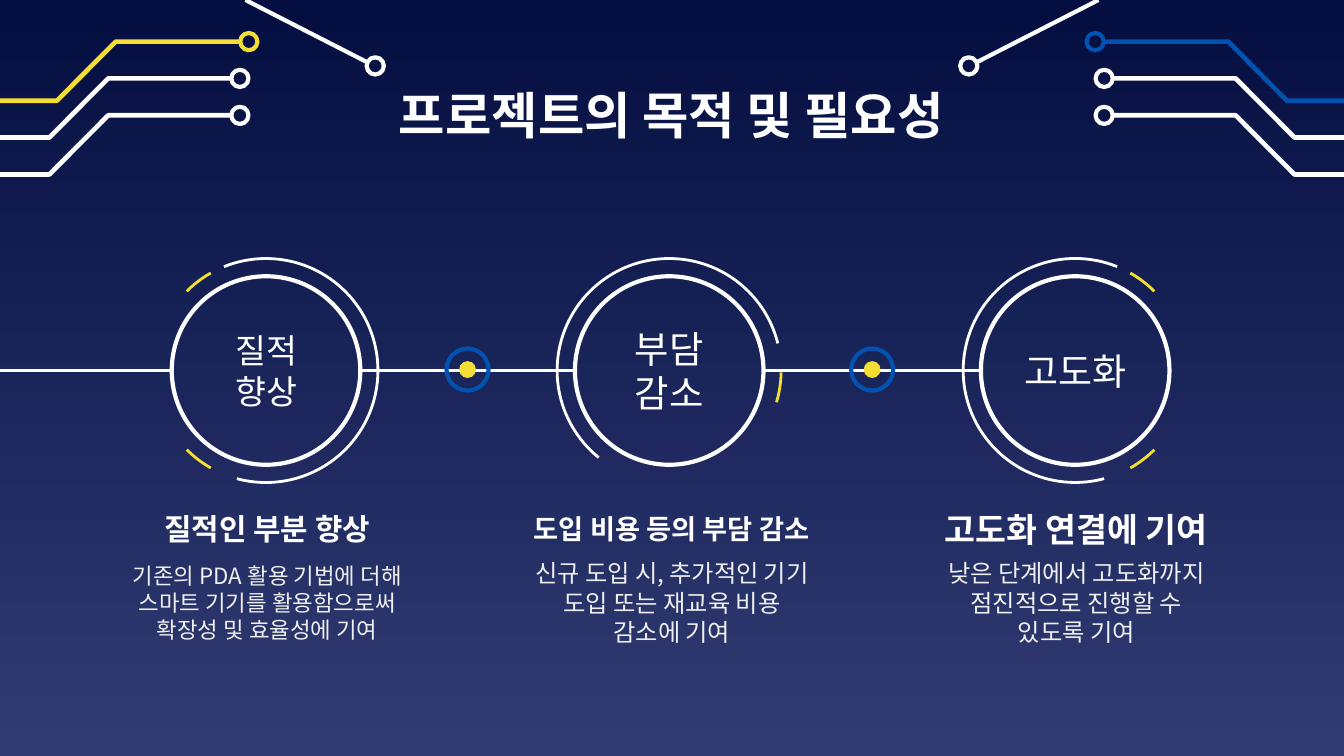
from lxml.etree import SubElement
from pptx import Presentation
from pptx.dml.color import RGBColor
from pptx.enum.shapes import MSO_CONNECTOR, MSO_SHAPE
from pptx.enum.text import MSO_ANCHOR, MSO_AUTO_SIZE, PP_ALIGN
from pptx.oxml.ns import qn
from pptx.util import Pt

NAVY = RGBColor(0x04, 0x0E, 0x41)
INDIGO = RGBColor(0x30, 0x3B, 0x72)
WHITE = RGBColor(0xFF, 0xFF, 0xFF)
PALE = RGBColor(0xEF, 0xEF, 0xEF)
YELLOW = RGBColor(0xF5, 0xDE, 0x34)
BLUE = RGBColor(0x01, 0x52, 0xB1)
FONT = "Noto Sans CJK KR"
WIDTH, HEIGHT = 720, 405
AXIS_Y = 198.5
CIRCLE, HALO, NODE, DOT = 101, 120, 22.5, 9

# Circle centre, label, label size, white arc, yellow arcs (degrees, clockwise)
STAGES = [
    (142.5, "질적 향상", 18, (248, 105), [(225, 240.5), (119.5, 135)]),
    (358.5, "부담 감소", 20, (129, 346), [(1, 16.5)]),
    (576, "고도화", 19.8, (75, 292), [(299.5, 315), (45, 60.5)]),
]
# Heading, heading size, description, description size
CAPTIONS = [
    ("질적인 부분 향상", 16,
     "기존의 PDA 활용 기법에 더해 스마트 기기를 활용함으로써 확장성 및 효율성에 기여", 12),
    ("도입 비용 등의 부담 감소", 14.6,
     "신규 도입 시, 추가적인 기기 도입 또는 재교육 비용 감소에 기여", 13),
    ("고도화 연결에 기여", 18,
     "낮은 단계에서 고도화까지 점진적으로 진행할 수 있도록 기여", 13),
]


def apply(target, values):
    for name, value in values.items():
        setattr(target, name, value)


def place(shape, left, top, width, height):
    apply(shape, {"left": Pt(left), "top": Pt(top),
                  "width": Pt(width), "height": Pt(height)})


def write(shape, text, size, color=WHITE, bold=False, pitch=1.2):
    frame = shape.text_frame
    apply(frame, {"word_wrap": True, "auto_size": MSO_AUTO_SIZE.NONE,
                  "vertical_anchor": MSO_ANCHOR.MIDDLE})
    apply(frame, {f"margin_{side}": Pt(7.2)
                  for side in ("left", "top", "right", "bottom")})
    para = frame.paragraphs[0]
    apply(para, {"alignment": PP_ALIGN.CENTER, "space_before": Pt(0),
                 "line_spacing": Pt(round(size * pitch, 1)) if pitch else 1.0})
    span = para.add_run()
    span.text = text
    apply(span.font, {"name": FONT, "size": Pt(size), "bold": bold})
    span.font.color.rgb = color
    SubElement(span.font._element, qn("a:ea"), typeface=FONT)


def outline(shape, color, width):
    shape.shadow.inherit = False
    shape.fill.background()
    shape.line.color.rgb = color
    shape.line.width = Pt(width)


def round_shape(page, kind, x, y, size, color, width=2.25):
    """Outlined shape of the given diameter, centred on x, y."""
    shape = page.shapes.add_shape(kind, Pt(x - size / 2), Pt(y - size / 2),
                                  Pt(size), Pt(size))
    outline(shape, color, width)
    return shape


def arc(page, x, y, angles, color):
    shape = round_shape(page, MSO_SHAPE.ARC, x, y, HALO, color, 1.5)
    for index, angle in enumerate(angles):
        shape.adjustments[index] = angle * 0.6  # 60000 units per degree


def connect(page, x1, y1, x2, y2, width):
    line = page.shapes.add_connector(MSO_CONNECTOR.STRAIGHT,
                                     Pt(x1), Pt(y1), Pt(x2), Pt(y2))
    line.line.color.rgb = WHITE
    line.line.width = Pt(width)
    SubElement(line._element.spPr, qn("a:effectLst"))


def paint_background(page):
    fill = page.background.fill
    fill.gradient()
    fill.gradient_angle = 270
    for stop, color, position in zip(fill.gradient_stops, (NAVY, INDIGO), (0, 1)):
        stop.color.rgb = color
        stop.position = position


def circuit(page, edge, direction, accent):
    """Circuit traces running inward from a slide edge; direction is 1 or -1."""
    def x_at(offset):
        return edge + direction * offset

    # Bent traces: vertical position, inward shift, colour
    for top, shift, color in ((22.3, 4, accent), (42, 0, WHITE), (61.8, 0, WHITE)):
        points = [(0, top + 31.7), (26.5 + shift, top + 31.7),
                  (58 + shift, top), (124.5 + shift, top)]
        points = [(Pt(x_at(x)), Pt(y)) for x, y in points]
        builder = page.shapes.build_freeform(*points[0])
        builder.add_line_segments(points[1:], close=False)
        outline(builder.convert_to_shape(), color, 2.5)
        round_shape(page, MSO_SHAPE.OVAL, x_at(128.5 + shift * 1.2), top,
                    9.2, color)
    # Diagonal trace
    connect(page, x_at(131.5), 0, x_at(197), 33.5, 2.25)
    round_shape(page, MSO_SHAPE.OVAL, x_at(201), 35.3, 9.2, WHITE)


def stage(page, x, y, label, size, white_arc, yellow_arcs):
    circle = round_shape(page, MSO_SHAPE.OVAL, x, y, CIRCLE, WHITE)
    write(circle, label, size)
    arc(page, x, y, white_arc, WHITE)
    for angles in yellow_arcs:
        arc(page, x, y, angles, YELLOW)


def timeline(page, y):
    # Lines between circles, the first one from the slide edge
    start = 0
    for x, *_ in STAGES:
        connect(page, start, y, x - CIRCLE / 2, y, 1.5)
        if start:
            middle = (start + x - CIRCLE / 2) / 2
            round_shape(page, MSO_SHAPE.OVAL, middle, y - 0.5, NODE, BLUE)
            dot = round_shape(page, MSO_SHAPE.OVAL, middle, y - 0.5, DOT, YELLOW)
            dot.fill.solid()
            dot.fill.fore_color.rgb = YELLOW
            dot.line.fill.background()
        start = x + CIRCLE / 2
    for x, *details in STAGES:
        stage(page, x, y, *details)


def caption(page, body, left, top, width, heading, heading_size, text, text_size):
    box = page.shapes.add_textbox(0, 0, 0, 0)
    place(box, left, top, width, 34)
    write(box, heading, heading_size, bold=True)
    # Description in the body placeholder, without bullet
    place(body, left, top + 35.3, width, 42)
    properties = body.text_frame.paragraphs[0]._p.get_or_add_pPr()
    properties.set("marL", "0")
    properties.set("indent", "0")
    SubElement(properties, qn("a:buNone"))
    write(body, text, text_size, PALE)


def build():
    deck = Presentation()
    deck.slide_width, deck.slide_height = Pt(WIDTH), Pt(HEIGHT)
    page = deck.slides.add_slide(deck.slide_layouts.get_by_name("Comparison"))
    title, *bodies = list(page.placeholders)
    paint_background(page)
    circuit(page, 0, 1, YELLOW)
    circuit(page, WIDTH, -1, BLUE)
    place(title, 162, 42.5, 395, 37.5)
    write(title, "프로젝트의 목적 및 필요성", 27, bold=True, pitch=None)
    timeline(page, AXIS_Y)
    for index, (body, details) in enumerate(zip(bodies, CAPTIONS)):
        caption(page, body, 61.2 + 216.7 * index, 266.4, 164, *details)
    for spare in bodies[len(CAPTIONS):]:
        spare.element.getparent().remove(spare.element)
    deck.save("out.pptx")


if __name__ == "__main__":
    build()
